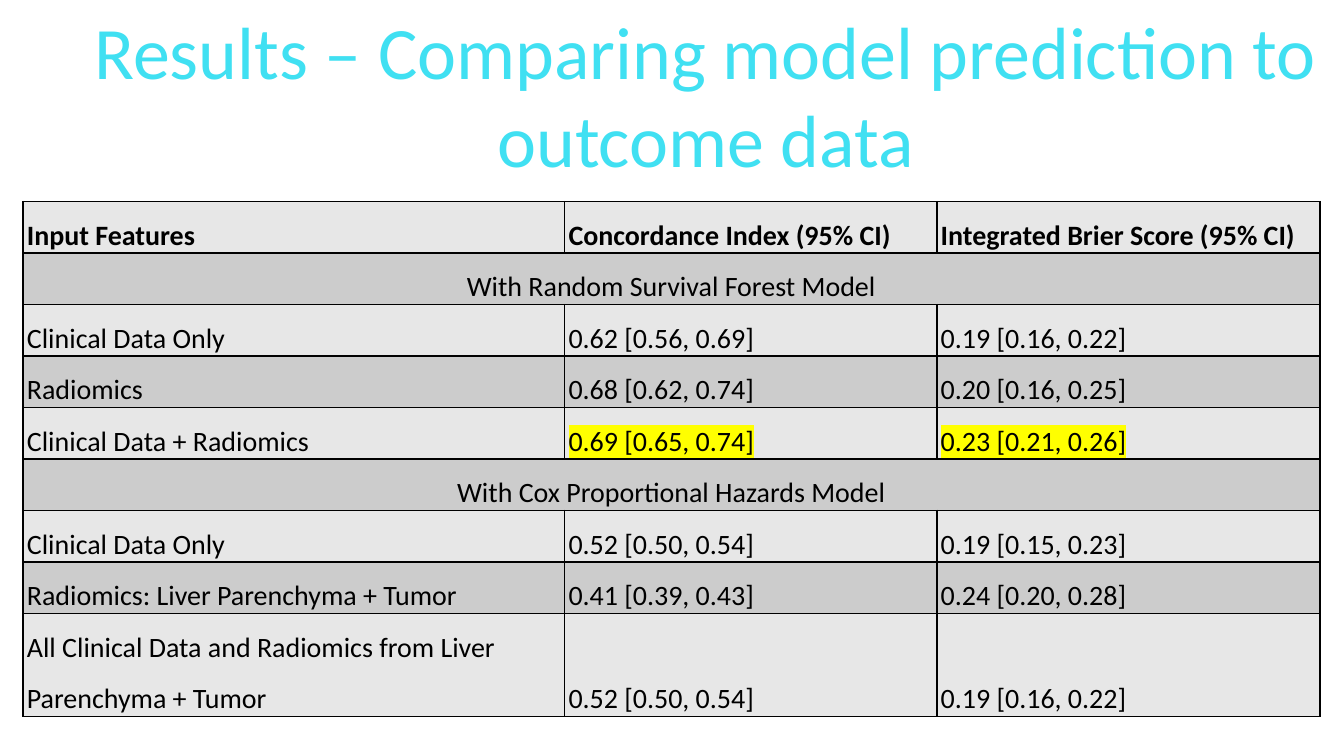
from lxml import etree
from pptx import Presentation
from pptx.dml.color import RGBColor
from pptx.enum import text
from pptx.oxml import parse_xml
from pptx.oxml.ns import nsdecls, qn
from pptx.util import Inches, Pt

CYAN = RGBColor(0x40, 0xE0, 0xF2)
BLACK = RGBColor(0, 0, 0)
LIGHT = RGBColor(0xE7, 0xE7, 0xE7)
GREY = RGBColor(0xCC, 0xCC, 0xCC)
YELLOW = RGBColor(0xFF, 0xFF, 0)
FONT = "Calibri"

SLIDE_W = 10
SLIDE_H = SLIDE_W * 9 / 16
COLUMNS = [4.03, 2.77, 2.85]
ROW_H = 0.29
LAST_ROW_H = 0.6
BEST_ROW = 4
ROWS = [
    ["Input Features", "Concordance Index (95% CI)", "Integrated Brier Score (95% CI)"],
    ["With Random Survival Forest Model"],
    ["Clinical Data Only", "0.62 [0.56, 0.69]", "0.19 [0.16, 0.22]"],
    ["Radiomics", "0.68 [0.62, 0.74]", "0.20 [0.16, 0.25]"],
    ["Clinical Data + Radiomics", "0.69 [0.65, 0.74]", "0.23 [0.21, 0.26]"],
    ["With Cox Proportional Hazards Model"],
    ["Clinical Data Only", "0.52 [0.50, 0.54]", "0.19 [0.15, 0.23]"],
    ["Radiomics: Liver Parenchyma + Tumor", "0.41 [0.39, 0.43]", "0.24 [0.20, 0.28]"],
    ["All Clinical Data and Radiomics from Liver Parenchyma + Tumor",
     "0.52 [0.50, 0.54]", "0.19 [0.16, 0.22]"],
]


def set_font(p, size, color, bold=False):
    """Set the font that all runs of a paragraph share."""
    f = p.font
    f.name, f.size, f.bold = FONT, Pt(size), bold
    f.color.rgb = color


def add_title(s, x, y, w, h):
    """Fill the title placeholder and fit it to the box."""
    sp = s.shapes.title
    sp.left, sp.top, sp.width, sp.height = map(Inches, (x, y, w, h))
    tf = sp.text_frame
    tf.text = "Results – Comparing model prediction to outcome data"
    tf.word_wrap = True
    tf.auto_size = text.MSO_AUTO_SIZE.NONE
    tf.vertical_anchor = text.MSO_ANCHOR.MIDDLE
    p = tf.paragraphs[0]
    p.alignment = text.PP_ALIGN.CENTER
    set_font(p, 39.6, CYAN)


def style_cell(cell, fill):
    """Give a cell its borders, fill, margins and anchor."""
    tcPr = cell._tc.get_or_add_tcPr()
    for side in ("lnL", "lnR", "lnT", "lnB"):
        tcPr.append(parse_xml(
            f'<a:{side} {nsdecls("a")} w="{Pt(1)}"><a:solidFill>'
            f'<a:srgbClr val="{BLACK}"/></a:solidFill></a:{side}>'))
    cell.fill.solid()
    cell.fill.fore_color.rgb = fill
    cell.margin_left = cell.margin_right = Inches(0.03)
    cell.margin_top = cell.margin_bottom = 0
    cell.vertical_anchor = text.MSO_ANCHOR.BOTTOM


def highlight(r):
    """Mark a run with a yellow background."""
    mark = etree.SubElement(r._r.get_or_add_rPr(), qn("a:highlight"))
    etree.SubElement(mark, qn("a:srgbClr"), val=str(YELLOW))


def add_results(s, x, y, w, h):
    """Place the results table, merging the rows that name a model."""
    tbl = s.shapes.add_table(len(ROWS), len(COLUMNS), *map(Inches, (x, y, w, h))).table
    for col, width in zip(tbl.columns, COLUMNS):
        col.width = Inches(width)
    for i, values in enumerate(ROWS):
        tbl.rows[i].height = Inches(LAST_ROW_H if i == len(ROWS) - 1 else ROW_H)
        for j in range(len(COLUMNS)):
            style_cell(tbl.cell(i, j), GREY if i % 2 else LIGHT)
        if len(values) == 1:
            tbl.cell(i, 0).merge(tbl.cell(i, len(COLUMNS) - 1))
        for j, value in enumerate(values):
            p = tbl.cell(i, j).text_frame.paragraphs[0]
            r = p.add_run()
            r.text = value
            p.line_spacing = 1.5
            p.alignment = text.PP_ALIGN.CENTER if len(values) == 1 else text.PP_ALIGN.LEFT
            set_font(p, 15, BLACK, bold=i == 0)
            if i == BEST_ROW and j > 0:
                highlight(r)


def main():
    """Build and save the slide."""
    prs = Presentation()
    prs.slide_width, prs.slide_height = Inches(SLIDE_W), Inches(SLIDE_H)
    s = prs.slides.add_slide(prs.slide_layouts[5])
    add_title(s, 0.5, 0.23, 9.5, 0.94)
    add_results(s, 0.17, 1.5, sum(COLUMNS), ROW_H * (len(ROWS) - 1) + LAST_ROW_H)
    prs.save("out.pptx")


if __name__ == "__main__":
    main()
